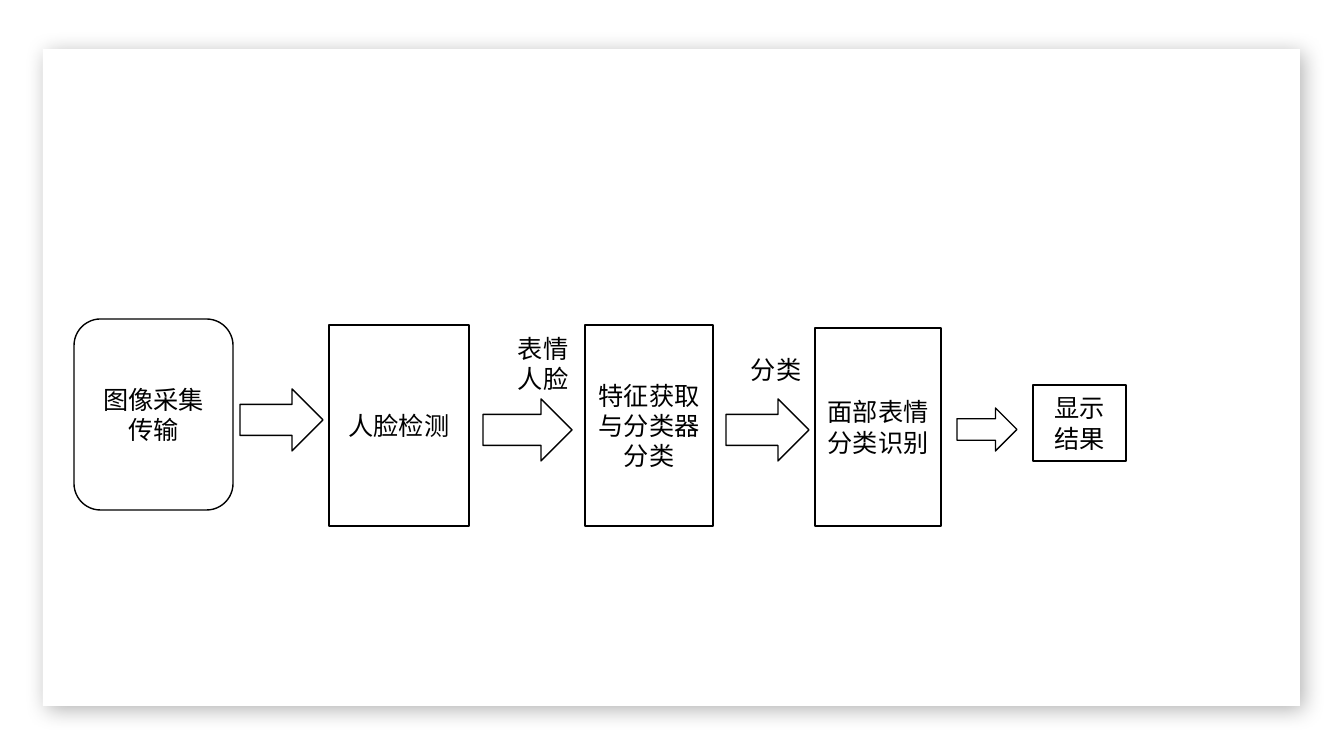
from lxml.etree import SubElement
from pptx import Presentation
from pptx.dml.color import RGBColor
from pptx.enum.shapes import MSO_SHAPE
from pptx.enum.text import MSO_ANCHOR, MSO_AUTO_SIZE, PP_ALIGN
from pptx.oxml.ns import qn
from pptx.util import Emu, Pt

PX = 914400 / 100.8
BLACK = RGBColor(0x00, 0x00, 0x00)
WHITE = RGBColor(0xFF, 0xFF, 0xFF)
FONT = "Noto Sans CJK SC"
TEXT_FORMAT = {"name": FONT, "size": Pt(18)}

STEPS = [
    (MSO_SHAPE.ROUNDED_RECTANGLE, (74, 319, 159, 191), "图像采集传输"),
    (MSO_SHAPE.RECTANGLE, (329, 325, 140, 201), "人脸检测"),
    (MSO_SHAPE.RECTANGLE, (585, 325, 128, 201), "特征获取与分类器分类"),
    (MSO_SHAPE.RECTANGLE, (815, 328, 126, 198), "面部表情分类识别"),
    (MSO_SHAPE.RECTANGLE, (1033, 385, 93, 76), "显示结果"),
]
ARROWS = [
    (240, 389, 83, 62),
    (483, 399, 89, 62),
    (726, 399, 83, 62),
    (957, 408, 60, 43),
]
LABELS = [
    ((508, 328, 85, 71), "表情人脸"),
    ((741, 349, 98, 40), "分类"),
]


def px(*lengths):
    return [Emu(round(length * PX)) for length in lengths]


def write_text(sp, text, align, anchor):
    tf = sp.text_frame
    tf.word_wrap = True
    tf.vertical_anchor = anchor
    p = tf.paragraphs[0]
    p.alignment = align
    r = p.add_run()
    r.text = text
    for name, value in TEXT_FORMAT.items():
        setattr(r.font, name, value)
    r.font.color.rgb = BLACK
    SubElement(r.font._element, qn("a:ea"), typeface=FONT)


def add_box(s, kind, box):
    sp = s.shapes.add_shape(kind, *px(*box))
    sp.shadow.inherit = False
    sp.fill.solid()
    sp.fill.fore_color.rgb = WHITE
    sp.line.color.rgb = BLACK
    sp.line.width = Pt(1)
    return sp


def add_card(s):
    sp = add_box(s, MSO_SHAPE.RECTANGLE, (43, 49, 1257, 657))
    sp.line.fill.background()
    effects = sp._element.spPr.find(qn("a:effectLst"))
    shadow = SubElement(effects, qn("a:outerShdw"), blurRad=str(Pt(15)),
                        dist=str(Pt(5)), dir=str(45 * 60000),
                        algn="tl", rotWithShape="0")
    color = SubElement(shadow, qn("a:srgbClr"), val=str(BLACK))
    SubElement(color, qn("a:alpha"), val="30000")


def add_step(s, kind, box, text):
    sp = add_box(s, kind, box)
    write_text(sp, text, PP_ALIGN.CENTER, MSO_ANCHOR.MIDDLE)


def add_label(s, box, text):
    sp = s.shapes.add_textbox(*px(*box))
    write_text(sp, text, PP_ALIGN.LEFT, MSO_ANCHOR.TOP)
    sp.text_frame.auto_size = MSO_AUTO_SIZE.SHAPE_TO_FIT_TEXT


def main():
    prs = Presentation()
    prs.slide_width, prs.slide_height = px(1344, 756)
    s = prs.slides.add_slide(prs.slide_layouts[6])
    add_card(s)
    for kind, box, text in STEPS:
        add_step(s, kind, box, text)
    for box in ARROWS:
        add_box(s, MSO_SHAPE.RIGHT_ARROW, box)
    for box, text in LABELS:
        add_label(s, box, text)
    prs.save("out.pptx")


if __name__ == "__main__":
    main()
